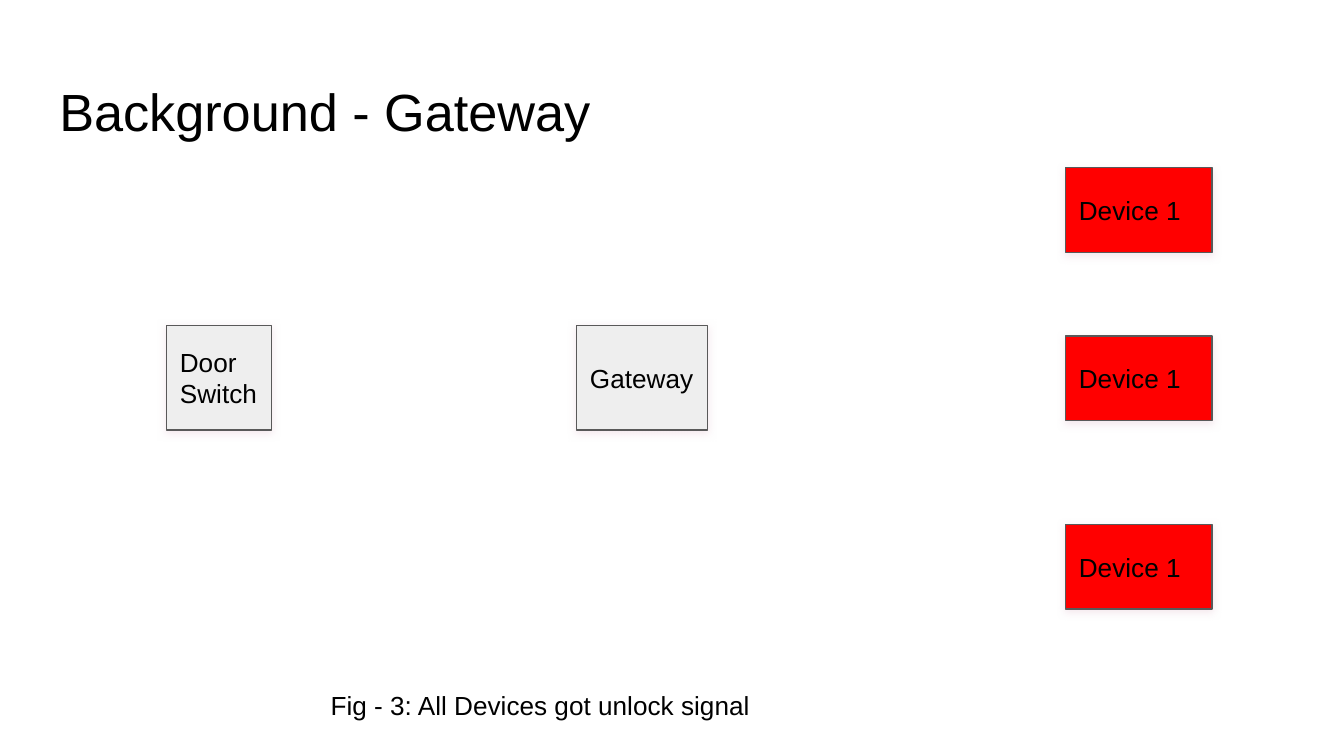
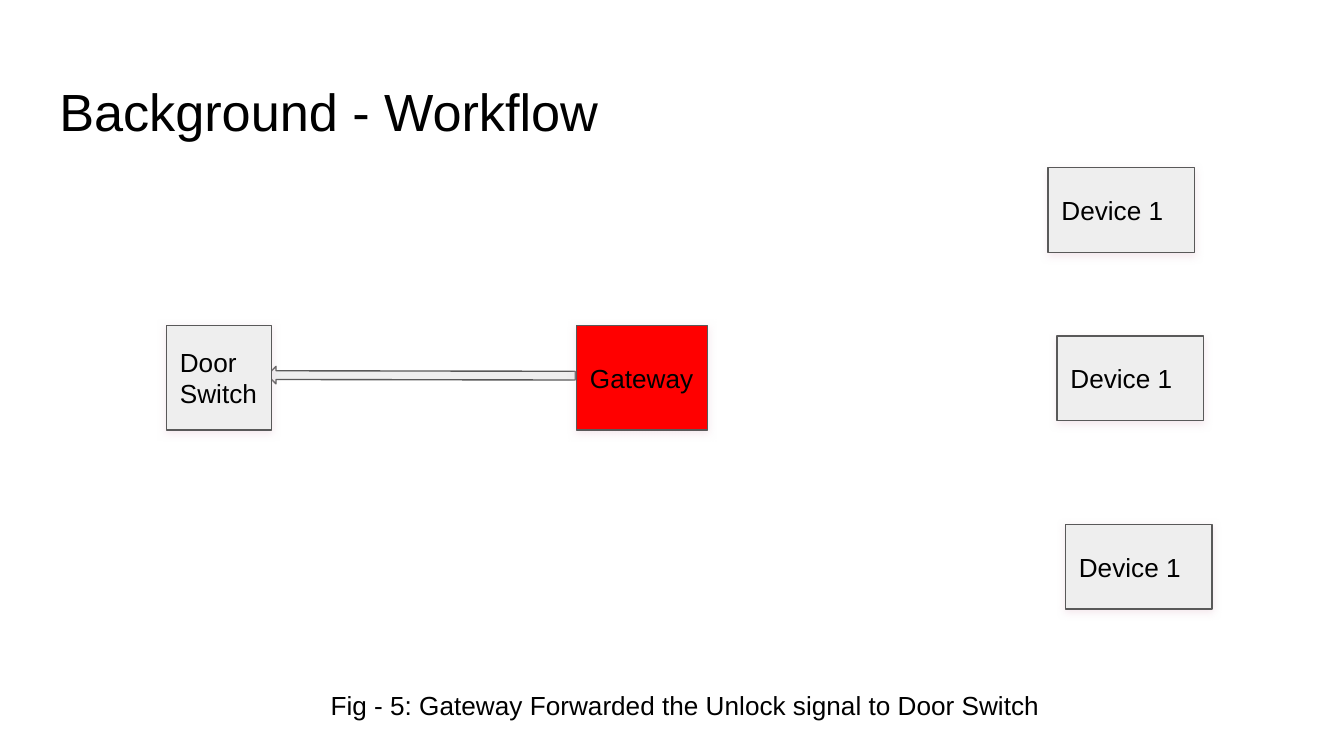
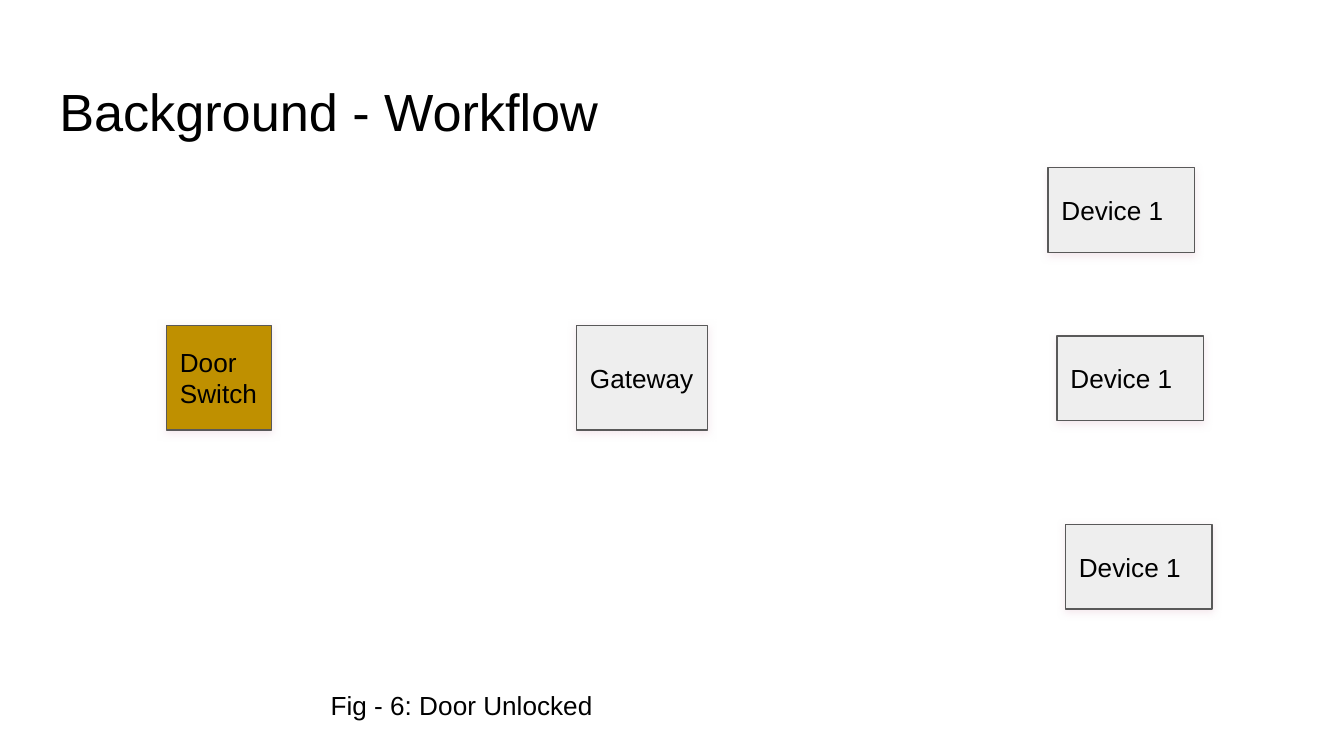
import pptx
import pptx.dml.color
import pptx.enum.shapes
import pptx.enum.text
import pptx.oxml
import pptx.oxml.ns
import pptx.util
from pptx.util import Cm

COLOURS = {
    "text": "000000",
    "outline": "595959",
    "idle": "EEEEEE",
    "signal": "FF0000",
    "unlocked": "BF9000",
    "shadow": "EAD1DC",
}
FONT = "Arial"
INSET = Cm(0.25)
DEVICE_TOPS = (3.17, 6.35, 9.91)
ALIGNED = (20.14, 20.14, 20.14)
STAGGERED = (19.81, 19.98, 20.14)
SHADOW = (
    '<a:outerShdw {} blurRad="57150" dist="19050" dir="5400000" '
    'algn="bl" rotWithShape="0"><a:srgbClr val="{}">'
    '<a:alpha val="50000"/></a:srgbClr></a:outerShdw>'
)


def colour(name):
    """Return the named colour as an RGB value."""
    return pptx.dml.color.RGBColor.from_string(COLOURS[name])


def write_text(shape, text, size, anchor):
    """Put left-aligned text in a shape."""
    frame = shape.text_frame
    frame.text = text
    frame.word_wrap = True
    frame.auto_size = pptx.enum.text.MSO_AUTO_SIZE.NONE
    frame.vertical_anchor = anchor
    frame.margin_left = frame.margin_right = INSET
    frame.margin_top = frame.margin_bottom = INSET
    para = frame.paragraphs[0]
    para.alignment = pptx.enum.text.PP_ALIGN.LEFT
    for span in para.runs:
        span.font.name = FONT
        span.font.size = pptx.util.Pt(size)
        span.font.color.rgb = colour("text")


def add_outlined(shapes, kind, left, top, width, height, fill):
    """Add a filled preset shape with a thin outline and no shadow."""
    shape = shapes.add_shape(kind, Cm(left), Cm(top), Cm(width), Cm(height))
    shape.shadow.inherit = False
    shape.fill.solid()
    shape.fill.fore_color.rgb = colour(fill)
    shape.line.color.rgb = colour("outline")
    shape.line.width = pptx.util.Pt(0.75)
    return shape


def add_node(group, text, left, top, width, height, fill):
    """Add a labelled box with a soft shadow to the diagram."""
    kind = pptx.enum.shapes.MSO_SHAPE.RECTANGLE
    box = add_outlined(group.shapes, kind, left, top, width, height, fill)
    effects = box._element.spPr.find(pptx.oxml.ns.qn("a:effectLst"))
    shadow = SHADOW.format(pptx.oxml.ns.nsdecls("a"), COLOURS["shadow"])
    effects.append(pptx.oxml.parse_xml(shadow))
    write_text(box, text, 14, pptx.enum.text.MSO_ANCHOR.MIDDLE)


def add_diagram(page, device_lefts, door="idle", gateway="idle", device="idle"):
    """Add the door switch, the gateway and the devices as one group."""
    group = page.shapes.add_group_shape()
    add_node(group, "Door Switch", 3.15, 6.15, 1.98, 1.98, door)
    add_node(group, "Gateway", 10.9, 6.15, 2.47, 1.98, gateway)
    for left, top in zip(device_lefts, DEVICE_TOPS):
        add_node(group, "Device 1", left, top, 2.77, 1.6, device)


def add_signal_arrow(page):
    """Add the arrow from the gateway back to the door switch."""
    kind = pptx.enum.shapes.MSO_SHAPE.RIGHT_ARROW
    arrow = add_outlined(page.shapes, kind, 5.05, 6.93, 5.82, 0.33, "idle")
    arrow.rotation = 180.1


def add_page(deck, title):
    """Add a slide with the shared title style."""
    page = deck.slides.add_slide(deck.slide_layouts[5])
    heading = page.shapes.title
    heading.left, heading.top = Cm(0.87), Cm(1.24)
    heading.width, heading.height = Cm(23.67), Cm(1.6)
    write_text(heading, title, 28, pptx.enum.text.MSO_ANCHOR.TOP)
    return page


def add_caption(page, text, width=14.15):
    """Add the figure caption at the foot of the slide."""
    box = page.shapes.add_textbox(Cm(6), Cm(12.78), Cm(width), Cm(1.02))
    write_text(box, text, 14, pptx.enum.text.MSO_ANCHOR.TOP)


def main():
    """Build and save the deck."""
    deck = pptx.Presentation()
    deck.slide_width, deck.slide_height = Cm(25.4), Cm(14.29)

    page = add_page(deck, "Background - Gateway")
    add_diagram(page, ALIGNED, device="signal")
    add_caption(page, "Fig - 3: All Devices got unlock signal", 13.41)

    page = add_page(deck, "Background - Workflow")
    add_signal_arrow(page)
    add_diagram(page, STAGGERED, gateway="signal")
    add_caption(page, "Fig - 5: Gateway Forwarded the Unlock signal to Door Switch")

    page = add_page(deck, "Background - Workflow")
    add_diagram(page, STAGGERED, door="unlocked")
    add_caption(page, "Fig - 6: Door Unlocked")

    deck.save("out.pptx")


main()
